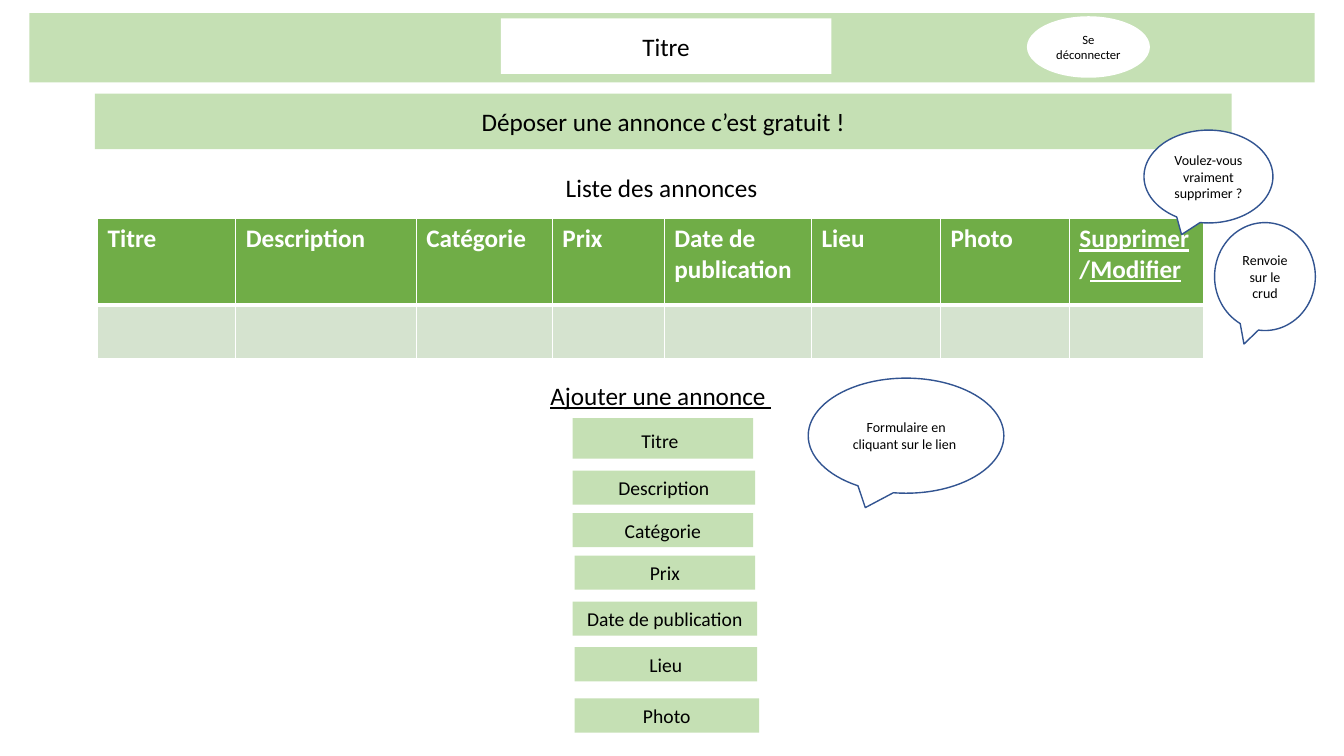
from lxml import etree
from pptx import Presentation, util as u
from pptx.dml.color import RGBColor
from pptx.enum import shapes, text
from pptx.oxml import ns

FONT = "Calibri"
BLACK, WHITE = "000000", "FFFFFF"
LIGHT_GREEN, GREEN, PALE_GREEN, BLUE = "C5E0B4", "70AD47", "D5E3CF", "325491"


def color(value):
    """Turn a hex string into a colour."""
    return RGBColor.from_string(value)


def box_lengths(box):
    """Turn left, top, width and height in centimetres into lengths."""
    return [u.Cm(value) for value in box]


class Page:
    """Holds the style and the current slide, and adds elements to it."""

    def __init__(self, slide):
        """Keep the slide to draw on."""
        self.slide = slide

    def style(self, frame, size, tint=BLACK, bold=False, underline=False,
              align=text.PP_ALIGN.CENTER):
        """Format every run of a text frame."""
        frame.word_wrap = True
        for paragraph in frame.paragraphs:
            paragraph.alignment = align
            for run in paragraph.runs:
                font = run.font
                font.name, font.size, font.bold = FONT, u.Pt(size), bold
                font.underline = underline
                font.color.rgb = color(tint)

    def shape(self, kind, box, words="", size=18, fill=LIGHT_GREEN, line=None):
        """Add a filled preset shape with centred text."""
        shape = self.slide.shapes.add_shape(kind, *box_lengths(box))
        shape.shadow.inherit = False
        shape.fill.solid()
        shape.fill.fore_color.rgb = color(fill)
        if line:
            shape.line.color.rgb = color(line)
            shape.line.width = u.Pt(1)
        else:
            shape.line.fill.background()
        shape.text_frame.text = words
        shape.text_frame.vertical_anchor = text.MSO_ANCHOR.MIDDLE
        self.style(shape.text_frame, size)
        return shape

    def bar(self, box, words="", size=18):
        """Add a light green rectangle."""
        return self.shape(shapes.MSO_SHAPE.RECTANGLE, box, words, size)

    def callout(self, box, words):
        """Add an outlined speech bubble."""
        self.shape(shapes.MSO_SHAPE.OVAL_CALLOUT, box, words, 10, WHITE, BLUE)

    def title(self, box, words):
        """Place the title placeholder above what is already drawn."""
        title = self.slide.shapes.title
        title.left, title.top, title.width, title.height = box_lengths(box)
        title.fill.solid()
        title.fill.fore_color.rgb = color(WHITE)
        title.text_frame.text = words
        title.text_frame.auto_size = text.MSO_AUTO_SIZE.NONE
        title.text_frame.vertical_anchor = text.MSO_ANCHOR.MIDDLE
        self.style(title.text_frame, 18)
        self.slide.shapes._spTree.append(title._element)

    def heading(self, box, words, underline=False):
        """Add a centred text box."""
        heading = self.slide.shapes.add_textbox(*box_lengths(box))
        heading.text_frame.text = words
        self.style(heading.text_frame, 18, underline=underline)

    def borders(self, cell, **widths):
        """Draw white cell borders, with widths in points by side."""
        properties = cell._tc.get_or_add_tcPr()
        for side in "LRTB":
            line = etree.SubElement(properties, ns.qn(f"a:ln{side}"),
                                    w=str(u.Pt(widths.get(side, 1))))
            fill = etree.SubElement(line, ns.qn("a:solidFill"))
            etree.SubElement(fill, ns.qn("a:srgbClr"), val=WHITE)

    def table(self, left, top, columns, heights):
        """Add a table with one header row; columns pair header and width."""
        width = sum(column_width for _, column_width in columns)
        box = (left, top, width, sum(heights))
        table = self.slide.shapes.add_table(
            len(heights), len(columns), *box_lengths(box)).table
        for row, height in zip(table.rows, heights):
            row.height = u.Cm(height)
        for index, (header, column_width) in enumerate(columns):
            table.columns[index].width = u.Cm(column_width)
            for row in range(len(heights)):
                cell = table.cell(row, index)
                self.borders(cell, **({"T": 3} if row else {"B": 3}))
                cell.fill.solid()
                cell.fill.fore_color.rgb = color(PALE_GREEN if row else GREEN)
            frame = table.cell(0, index).text_frame
            frame.text = header
            self.style(frame, 18, WHITE, True, align=text.PP_ALIGN.LEFT)
        return table


presentation = Presentation()
presentation.slide_width, presentation.slide_height = u.Cm(33.87), u.Cm(19.05)
page = Page(presentation.slides.add_slide(presentation.slide_layouts[5]))

# Page header
page.bar((0.74, 0.33, 32.39, 1.75))
page.title((12.62, 0.46, 8.33, 1.4), "Titre")
page.shape(shapes.MSO_SHAPE.OVAL, (25.88, 0.41, 3.1, 1.55),
           "Se déconnecter", 9, WHITE)
page.bar((2.39, 2.36, 28.65, 1.4), "Déposer une annonce c’est gratuit !")

# List of adverts
columns = [("Titre", 3.48), ("Description", 4.55), ("Catégorie", 3.43),
           ("Prix", 2.82), ("Date de publication", 3.71), ("Lieu", 3.25),
           ("Photo", 3.25), ("", 3.38)]
adverts = page.table(2.46, 5.51, columns, [2.18, 1.35])
actions = adverts.cell(0, len(columns) - 1).text_frame
for words in ("Supprimer", "/", "Modifier"):
    actions.paragraphs[0].add_run().text = words
page.style(actions, 18, WHITE, True, True, text.PP_ALIGN.LEFT)
actions.paragraphs[0].runs[1].font.underline = False

page.heading((9.86, 4.22, 13.77, 1.02), "Liste des annonces ")
page.heading((9.86, 9.45, 13.59, 1.04), "Ajouter une annonce ", True)
page.callout((28.83, 3.28, 3.25, 2.34), "Voulez-vous vraiment supprimer ?")
page.callout((30.61, 5.61, 2.54, 2.72), "Renvoie sur le crud")

# Form fields: label, left, top, width, height
fields = [("Titre", 14.43, 10.54, 4.55, 1.02),
          ("Description", 14.43, 11.86, 4.6, 0.86),
          ("Catégorie", 14.43, 12.93, 4.55, 0.86),
          ("Prix", 14.48, 14, 4.55, 0.86),
          ("Date de publication", 14.43, 15.16, 4.65, 0.86),
          ("Lieu", 14.48, 16.31, 4.6, 0.86),
          ("Photo", 14.48, 17.6, 4.65, 0.86)]
labels = [page.bar(box, label, 14).text_frame for label, *box in fields]
# The first label sits lower, on a line of 18 points
spacer = labels[0].paragraphs[0].add_run()
spacer.text = " "
spacer.font.name, spacer.font.size = FONT, u.Pt(18)
page.callout((20.37, 9.53, 4.93, 2.9), "Formulaire en cliquant sur le lien ")

presentation.save("out.pptx")
